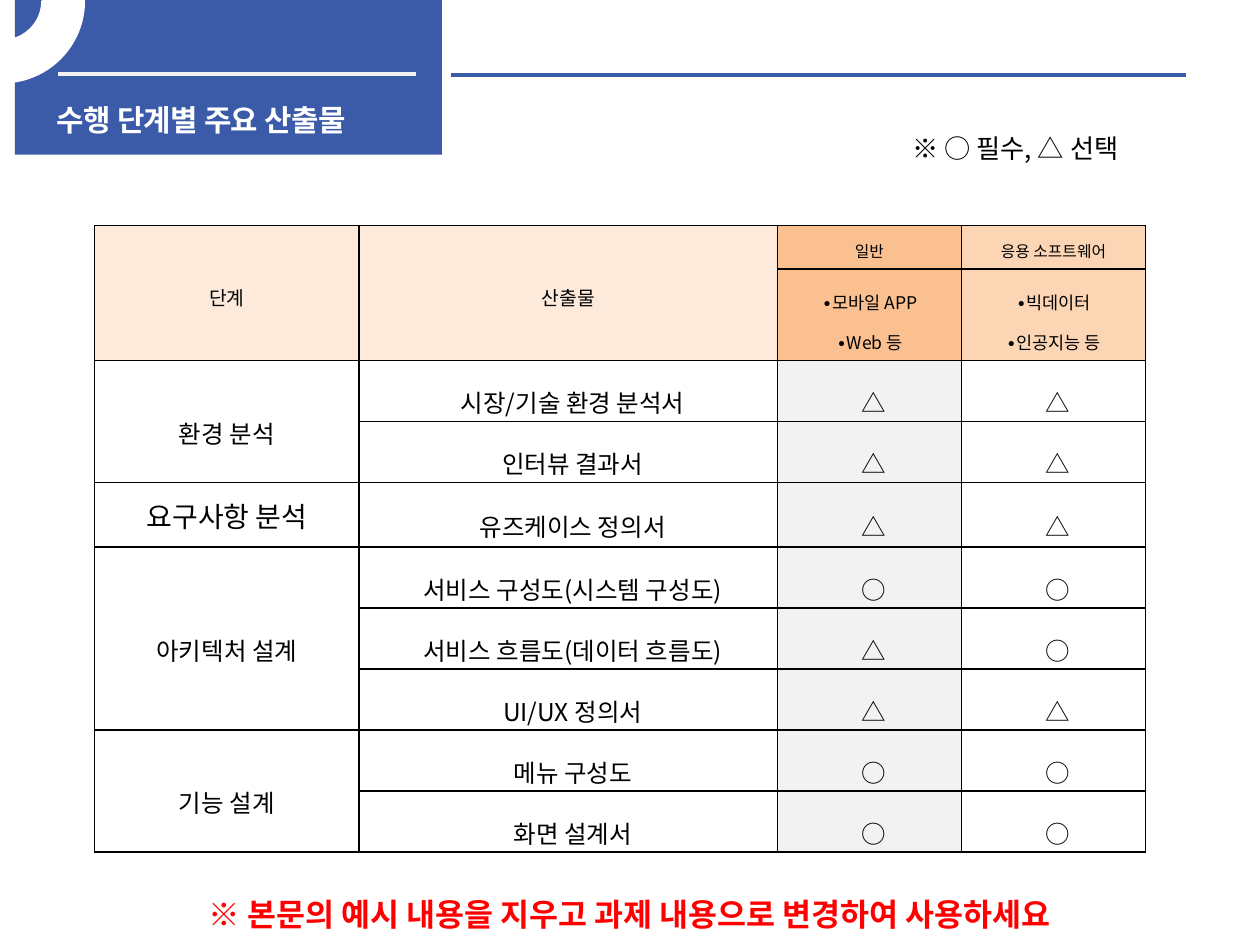
from lxml.etree import SubElement
from pptx import Presentation
from pptx.dml.color import RGBColor
from pptx.enum.shapes import MSO_CONNECTOR, MSO_SHAPE
from pptx.enum.text import MSO_ANCHOR, PP_ALIGN
from pptx.oxml.ns import qn
from pptx.util import Cm, Pt

BLUE = RGBColor(0x3B, 0x5A, 0xA8)
WHITE = RGBColor(0xFF, 0xFF, 0xFF)
BLACK = RGBColor(0x00, 0x00, 0x00)
RED = RGBColor(0xFF, 0x00, 0x00)
GREY = RGBColor(0xF2, 0xF2, 0xF2)
CREAM = RGBColor(0xFD, 0xEA, 0xDA)
ORANGE = RGBColor(0xFA, 0xC0, 0x90)
PEACH = RGBColor(0xFC, 0xD5, 0xB5)

KOREAN = "Noto Sans CJK KR"
HEADER = {"size": Pt(11), "spacing": 1.3}
GROUP = {"size": Pt(9), "spacing": 1.3}
EXAMPLE = {"size": Pt(10), "spacing": 1.6, "indent": (0, -0.48)}
STAGE = {"size": Pt(14), "spacing": 1.6}
SINGLE_STAGE = {"size": Pt(16), "spacing": 1.0}
OUTPUT = {"size": Pt(14), "spacing": 1.6, "indent": (0.61, -0.43)}

COLUMNS = [5.33, 8.43, 3.71, 3.71]
ROWS = [0.87, 1.85, 1.23, 1.23, 1.3] + [1.23] * 5
STAGES = [
    ("환경 분석", [("시장/기술 환경 분석서", "△", "△"), ("인터뷰 결과서", "△", "△")]),
    ("요구사항 분석", [("유즈케이스 정의서", "△", "△")]),
    ("아키텍처 설계", [
        ("서비스 구성도(시스템 구성도)", "○", "○"),
        ("서비스 흐름도(데이터 흐름도)", "△", "○"),
        ("UI/UX 정의서", "△", "△"),
    ]),
    ("기능 설계", [("메뉴 구성도", "○", "○"), ("화면 설계서", "○", "○")]),
]
GROUPS = [
    ("일반", ["∙모바일 APP", "∙Web 등"], ORANGE),
    ("응용 소프트웨어", ["∙빅데이터", "∙인공지능 등"], PEACH),
]


class Deck:
    def __init__(self, prs):
        self.slide = prs.slides.add_slide(prs.slide_layouts[6])
        self.font = {"name": KOREAN, "size": Pt(14), "bold": False}

    def run(self, p, text, color=BLACK, track=None, **font):
        r = p.add_run()
        r.text = text
        style = {**self.font, **font}
        for key, value in style.items():
            setattr(r.font, key, value)
        r.font.color.rgb = color
        rPr = r._r.get_or_add_rPr()
        SubElement(rPr, qn("a:ea")).set("typeface", style["name"])
        if track:
            rPr.set("spc", str(track))

    def shape(self, kind, box, fill=None, line=None):
        s = self.slide.shapes.add_shape(kind, *map(Cm, box))
        s.shadow.inherit = False
        for part, color in ((s.fill, fill), (s.line.fill, line)):
            if color is None:
                part.background()
            else:
                part.solid()
                part.fore_color.rgb = color
        return s

    def arc(self, box, color):
        s = self.shape(MSO_SHAPE.BLOCK_ARC, box, color, color)
        s.line.width = Pt(2)
        for i, value in enumerate((96.95, 0, 0.25)):
            s.adjustments[i] = value
        s.element.spPr.find(qn("a:xfrm")).set("flipV", "1")

    def rule(self, x1, x2, y, color):
        s = self.slide.shapes.add_connector(
            MSO_CONNECTOR.STRAIGHT, Cm(x1), Cm(y), Cm(x2), Cm(y))
        s.line.color.rgb = color
        s.line.width = Pt(2.25)
        SubElement(s.element.spPr, qn("a:effectLst"))

    def text(self, box, text, **style):
        tf = self.slide.shapes.add_textbox(*map(Cm, box)).text_frame
        tf.word_wrap = True
        self.run(tf.paragraphs[0], text, **style)

    def notice(self, box, text, **style):
        tf = self.shape(MSO_SHAPE.ROUNDED_RECTANGLE, box).text_frame
        tf.vertical_anchor = MSO_ANCHOR.MIDDLE
        p = tf.paragraphs[0]
        p.alignment = PP_ALIGN.CENTER
        self.run(p, text, **style)

    def table(self, left, top, columns, rows):
        tbl = self.slide.shapes.add_table(
            len(rows), len(columns), Cm(left), Cm(top),
            Cm(sum(columns)), Cm(sum(rows))).table
        tbl.first_row = tbl.horz_banding = False
        for column, width in zip(tbl.columns, columns):
            column.width = Cm(width)
        for row, height in zip(tbl.rows, rows):
            row.height = Cm(height)
        for cell in tbl.iter_cells():
            self.frame(cell)
        return tbl

    def frame(self, cell):
        tcPr = cell._tc.get_or_add_tcPr()
        for side in ("lnL", "lnR", "lnT", "lnB"):
            ln = SubElement(tcPr, qn(f"a:{side}"), w=str(Pt(1)))
            fill = SubElement(ln, qn("a:solidFill"))
            SubElement(fill, qn("a:srgbClr"), val=str(BLACK))
        layout = {"margin_left": Cm(0.13), "margin_right": Cm(0.13),
                  "margin_top": Cm(0.03), "margin_bottom": Cm(0.03),
                  "vertical_anchor": MSO_ANCHOR.MIDDLE}
        for key, value in layout.items():
            setattr(cell, key, value)
        cell.fill.background()

    def cell(self, cell, lines, style, fill=None):
        if fill is not None:
            cell.fill.solid()
            cell.fill.fore_color.rgb = fill
        tf = cell.text_frame
        for i, line in enumerate(lines):
            p = tf.add_paragraph() if i else tf.paragraphs[0]
            p.alignment = PP_ALIGN.CENTER
            p.line_spacing = style["spacing"]
            if "indent" in style:
                pPr = p._p.get_or_add_pPr()
                for key, value in zip(("marL", "indent"), style["indent"]):
                    pPr.set(key, str(Cm(value)))
            self.run(p, line, size=style["size"])


def fill_table(deck, tbl):
    for col, title in enumerate(("단계", "산출물")):
        tbl.cell(0, col).merge(tbl.cell(1, col))
        deck.cell(tbl.cell(0, col), [title], HEADER, CREAM)
    for col, (name, examples, color) in enumerate(GROUPS, 2):
        deck.cell(tbl.cell(0, col), [name], GROUP, color)
        deck.cell(tbl.cell(1, col), examples, EXAMPLE, color)
    row = 2
    for stage, outputs in STAGES:
        count = len(outputs)
        if count > 1:
            tbl.cell(row, 0).merge(tbl.cell(row + count - 1, 0))
        deck.cell(tbl.cell(row, 0), [stage], STAGE if count > 1 else SINGLE_STAGE)
        for output in outputs:
            for col, (value, color) in enumerate(zip(output, (None, GREY, None)), 1):
                deck.cell(tbl.cell(row, col), [value], OUTPUT, color)
            row += 1


def main():
    prs = Presentation()
    prs.slide_width, prs.slide_height = Cm(25.4), Cm(19.05)
    deck = Deck(prs)
    deck.notice((1.24, 17.91, 22.91, 1.02),
                "※ 본문의 예시 내용을 지우고 과제 내용으로 변경하여 사용하세요",
                color=RED, size=Pt(18), bold=True)
    deck.shape(MSO_SHAPE.RECTANGLE, (0.3, 0, 8.61, 3.12), BLUE)
    deck.rule(1.17, 8.38, 1.5, GREY)
    deck.rule(9.09, 23.9, 1.52, BLUE)
    deck.text((0.89, 1.93, 7.8, 0.81), "수행 단계별 주요 산출물",
              color=WHITE, track=-50, name="Arial", size=Pt(17), bold=True)
    deck.arc((-1.6, -1.6, 3.28, 3.25), WHITE)
    fill_table(deck, deck.table(1.91, 4.55, COLUMNS, ROWS))
    deck.text((18.14, 2.54, 5.21, 0.89), "※ ○ 필수, △ 선택", size=Pt(15))
    prs.save("out.pptx")


if __name__ == "__main__":
    main()
